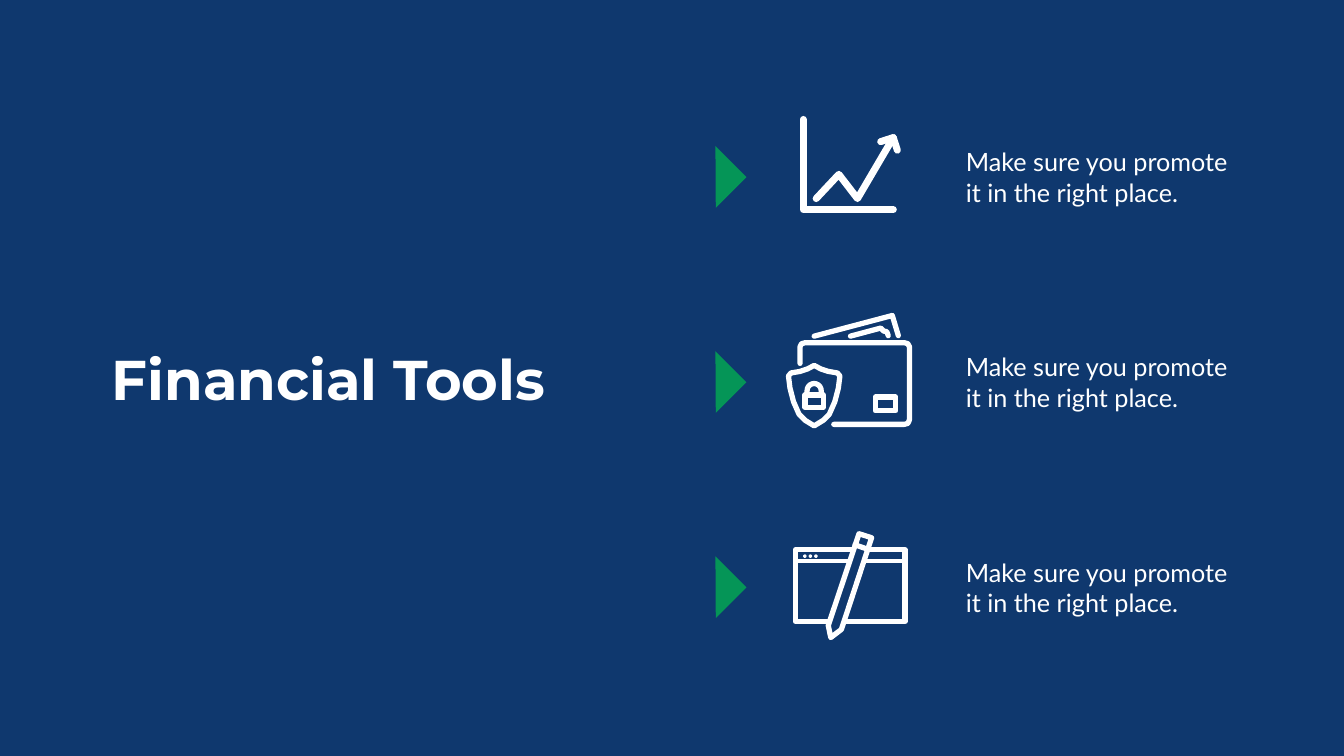
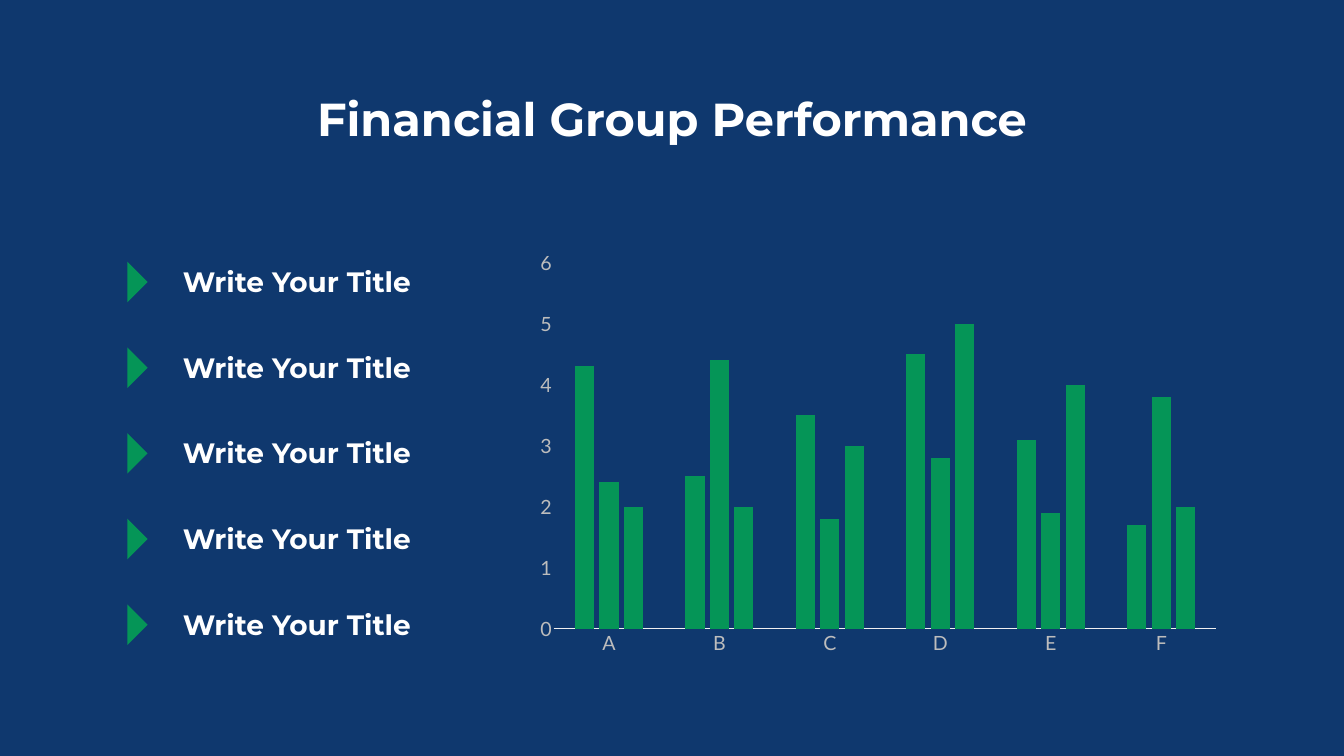
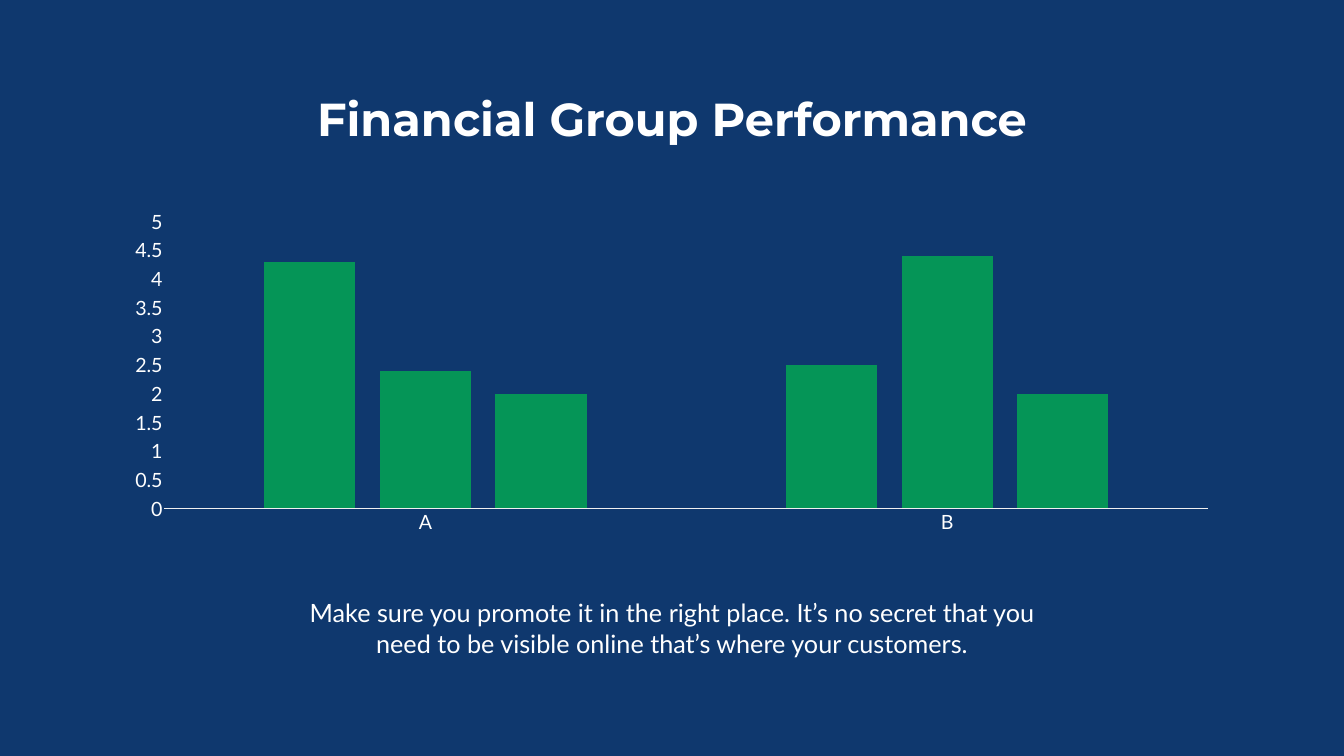
from dataclasses import dataclass
from math import cos, pi, sin

from lxml import etree
from pptx import Presentation
from pptx.chart.data import CategoryChartData
from pptx.dml.color import RGBColor
from pptx.enum.chart import XL_CHART_TYPE, XL_TICK_MARK
from pptx.enum.shapes import MSO_CONNECTOR, MSO_SHAPE
from pptx.enum.text import MSO_ANCHOR, MSO_AUTO_SIZE, PP_ALIGN
from pptx.oxml.ns import qn
from pptx.util import Inches, Pt

COLUMNS = XL_CHART_TYPE.COLUMN_CLUSTERED
NO_TICKS = XL_TICK_MARK.NONE
STRAIGHT = MSO_CONNECTOR.STRAIGHT
TRIANGLE = MSO_SHAPE.RIGHT_TRIANGLE
OVAL = MSO_SHAPE.OVAL
TOP = MSO_ANCHOR.TOP
GROW = MSO_AUTO_SIZE.SHAPE_TO_FIT_TEXT
LEFT, CENTER = PP_ALIGN.LEFT, PP_ALIGN.CENTER

NAVY = RGBColor(0x0F, 0x38, 0x6E)
GREEN = RGBColor(0x05, 0x95, 0x57)
WHITE = RGBColor(0xFF, 0xFF, 0xFF)
SILVER = RGBColor(0xBD, 0xBD, 0xBD)
AXIS_GRAY = RGBColor(0xF0, 0xF0, 0xF0)

HEADING_FONT, BODY_FONT = "Montserrat", "Lato"
TITLE_ONLY, TITLE_AND_CONTENT = 5, 1


@dataclass(frozen=True)
class Area:
    """A place on the slide, in inches."""
    left: float
    top: float
    width: float
    height: float

    def lengths(self) -> list[int]:
        return [Inches(n) for n in (self.left, self.top, self.width, self.height)]


@dataclass(frozen=True)
class TextStyle:
    font: str
    size: int
    bold: bool = False
    align: PP_ALIGN = LEFT


@dataclass(frozen=True)
class Stroke:
    """A round-ended white line through points given in inches."""
    points: list[tuple[float, float]]
    weight: float = 7.5
    closed: bool = False
    filled: bool = False


@dataclass(frozen=True)
class MarkedList:
    """Equal text lines at a fixed pitch, each with a green arrow before it."""
    text: str
    count: int
    pitch: float
    first_text: Area
    first_arrow: Area
    style: TextStyle


@dataclass(frozen=True)
class ColumnChart:
    area: Area
    categories: str
    series: list[list[float]]
    maximum: float
    step: float
    label_color: RGBColor


COVER_TITLE = TextStyle(HEADING_FONT, 80, bold=True)
SLIDE_TITLE = TextStyle(HEADING_FONT, 66, bold=True, align=CENTER)
TITLE_AREA = Area(4.87, 1.75, 16.92, 1.21)

TOOLS = MarkedList("Make sure you promote it in the right place.", 3, 4.07,
                   Area(19.06, 2.86, 5.69, 1.31), Area(13.76, 3.08, 0.87, 0.86),
                   TextStyle(BODY_FONT, 36))
GROUP_TITLES = MarkedList("Write Your Title", 5, 1.7,
                          Area(3.53, 5.2, 5.67, 0.77), Area(2.24, 5.31, 0.57, 0.57),
                          TextStyle(HEADING_FONT, 40, bold=True))

SIX_GROUPS = ColumnChart(
    Area(10.44, 4.81, 13.97, 8.34), "ABCDEF",
    [[4.3, 2.5, 3.5, 4.5, 3.1, 1.7], [2.4, 4.4, 1.8, 2.8, 1.9, 3.8], [2, 2, 3, 5, 4, 2]],
    maximum=6, step=1, label_color=SILVER)
TWO_GROUPS = ColumnChart(
    Area(2.24, 4.03, 22.17, 6.7), "AB", [[4.3, 2.5], [2.4, 4.4], [2, 2]],
    maximum=5, step=0.5, label_color=WHITE)


def rectangle(left: float, top: float, right: float, bottom: float) -> Stroke:
    return Stroke([(left, top), (right, top), (right, bottom), (left, bottom)], closed=True)


def shield() -> Stroke:
    center = 16.15
    half = [(16.15, 7.25), (16.28, 7.32), (16.43, 7.37), (16.61, 7.4), (16.66, 7.46),
            (16.63, 7.7), (16.56, 7.97), (16.45, 8.22), (16.33, 8.34), (16.15, 8.45)]
    mirrored = [(2 * center - x, y) for x, y in half[-2:0:-1]]
    return Stroke(half + mirrored, closed=True, filled=True)


def shackle() -> Stroke:
    center, top, radius, steps = 16.15, 7.75, 0.14, 10
    angles = [pi * (1 + step / steps) for step in range(steps + 1)]
    arc = [(center + radius * cos(angle), top + radius * sin(angle)) for angle in angles]
    return Stroke([(center - radius, 7.84), *arc, (center + radius, 7.84)])


GROWTH_ICON = [
    Stroke([(15.93, 2.37), (15.93, 4.16), (17.72, 4.16)], 10),
    Stroke([(16.19, 3.94), (16.64, 3.46), (17.01, 3.94), (17.72, 2.73)], 10),
    Stroke([(17.47, 2.81), (17.72, 2.73), (17.8, 2.98)], 10),
]
WALLET_ICON = [
    Stroke([(16.15, 6.67), (17.7, 6.26), (17.82, 6.66)]),
    Stroke([(16.87, 6.67), (17.47, 6.51), (17.53, 6.57), (17.59, 6.58), (17.62, 6.66)]),
    Stroke([(15.87, 7.21), (15.87, 6.88), (15.9, 6.82), (15.97, 6.8), (17.94, 6.8),
            (18.01, 6.82), (18.04, 6.88), (18.04, 8.33), (18.01, 8.4), (17.94, 8.42),
            (16.54, 8.42)]),
    rectangle(17.36, 7.88, 17.77, 8.15),
    shield(),
    rectangle(15.97, 7.84, 16.33, 8.08),
    shackle(),
]
BROWSER_ICON = [
    rectangle(15.78, 10.91, 17.95, 12.33),
    Stroke([(15.78, 11.13), (17.95, 11.13)], 4.5),
    Stroke([(17.04, 10.59), (17.29, 10.67), (16.69, 12.49), (16.48, 12.65), (16.43, 12.41)],
           closed=True, filled=True),
    Stroke([(16.96, 10.81), (17.22, 10.9)]),
]
BROWSER_DOTS = [Area(15.93 + 0.11 * index, 11, 0.07, 0.07) for index in range(3)]


def move(shape, area: Area) -> None:
    shape.left, shape.top, shape.width, shape.height = area.lengths()


def write(shape, text: str, style: TextStyle) -> None:
    frame = shape.text_frame
    frame.word_wrap = True
    frame.auto_size = GROW
    frame.vertical_anchor = TOP
    frame.text = text
    para = frame.paragraphs[0]
    para.alignment = style.align
    for span in para.runs:
        span.font.name = style.font
        span.font.size = Pt(style.size)
        span.font.bold = style.bold
        span.font.color.rgb = WHITE


def add_page(deck, layout: int, title: str, area: Area = TITLE_AREA,
             style: TextStyle = SLIDE_TITLE):
    page = deck.slides.add_slide(deck.slide_layouts[layout])
    move(page.shapes.title, area)
    write(page.shapes.title, title, style)
    return page


def add_solid(shapes, kind: MSO_SHAPE, area: Area, color: RGBColor):
    shape = shapes.add_shape(kind, *area.lengths())
    shape.shadow.inherit = False
    shape.fill.solid()
    shape.fill.fore_color.rgb = color
    shape.line.fill.background()
    return shape


def add_marked_list(page, items: MarkedList) -> None:
    for index in range(items.count):
        drop = Inches(items.pitch * index)
        box = page.shapes.add_textbox(*items.first_text.lengths())
        box.top += drop
        write(box, items.text, items.style)
        arrow = add_solid(page.shapes, TRIANGLE, items.first_arrow, GREEN)
        arrow.top += drop
        arrow.rotation = 225


def add_stroke(shapes, stroke: Stroke) -> None:
    points = [(Inches(x), Inches(y)) for x, y in stroke.points]
    if len(points) == 2:
        shape = shapes.add_connector(STRAIGHT, *points[0], *points[1])
    else:
        builder = shapes.build_freeform(*points[0])
        builder.add_line_segments(points[1:], close=stroke.closed)
        shape = builder.convert_to_shape()
        if stroke.filled:
            shape.fill.solid()
            shape.fill.fore_color.rgb = NAVY
        else:
            shape.fill.background()
    shape.line.color.rgb = WHITE
    shape.line.width = Pt(stroke.weight)
    properties = shape.element.spPr
    outline = properties.find(qn("a:ln"))
    outline.set("cap", "rnd")
    etree.SubElement(outline, qn("a:round"))
    etree.SubElement(properties, qn("a:effectLst"))


def add_icon(page, strokes: list[Stroke]):
    icon = page.shapes.add_group_shape()
    for stroke in strokes:
        add_stroke(icon.shapes, stroke)
    return icon


def add_column_chart(page, columns: ColumnChart) -> None:
    data = CategoryChartData()
    data.categories = list(columns.categories)
    for number, values in enumerate(columns.series, start=1):
        data.add_series(f"Series {number}", values)
    chart = page.shapes.add_chart(COLUMNS, *columns.area.lengths(), data).chart
    chart.has_legend = False
    chart.has_title = False
    chart.font.name = BODY_FONT
    chart.font.size = Pt(28)
    chart.font.color.rgb = columns.label_color

    plot = chart.plots[0]
    plot.gap_width = 219
    plot.overlap = -27
    plot.vary_by_categories = False
    for series in plot.series:
        series.format.fill.solid()
        series.format.fill.fore_color.rgb = GREEN

    for axis in (chart.category_axis, chart.value_axis):
        axis.major_tick_mark = axis.minor_tick_mark = NO_TICKS
        axis.has_major_gridlines = False
    category_line = chart.category_axis.format.line
    category_line.color.rgb = AXIS_GRAY
    category_line.width = Pt(0.75)
    values_axis = chart.value_axis
    values_axis.format.line.fill.background()
    values_axis.minimum_scale = 0
    values_axis.maximum_scale = columns.maximum
    values_axis.major_unit = columns.step


def add_caption(page, text: str, area: Area) -> None:
    """Fill the body placeholder with one plain centred paragraph."""
    body = page.placeholders[1]
    move(body, area)
    write(body, text, TextStyle(BODY_FONT, 36, align=CENTER))
    para = body.text_frame.paragraphs[0]
    properties = para._p.get_or_add_pPr()
    properties.set("marL", "0")
    properties.set("indent", "0")
    etree.SubElement(properties, qn("a:buNone"))
    para.space_before = Pt(0)


def build_tools(deck) -> None:
    page = add_page(deck, TITLE_ONLY, "Financial Tools", Area(2.12, 6.78, 8.91, 1.45),
                    COVER_TITLE)
    add_marked_list(page, TOOLS)
    add_icon(page, GROWTH_ICON)
    add_icon(page, WALLET_ICON)
    browser = add_icon(page, BROWSER_ICON)
    for dot in BROWSER_DOTS:
        add_solid(browser.shapes, OVAL, dot, WHITE)


def build_six_groups(deck) -> None:
    page = add_page(deck, TITLE_ONLY, "Financial Group Performance")
    add_column_chart(page, SIX_GROUPS)
    add_marked_list(page, GROUP_TITLES)


def build_two_groups(deck) -> None:
    page = add_page(deck, TITLE_AND_CONTENT, "Financial Group Performance")
    add_column_chart(page, TWO_GROUPS)
    add_caption(page, "Make sure you promote it in the right place. It’s no secret that you "
                "need to be visible online that’s where your customers.",
                Area(5.73, 11.81, 15.2, 1.31))


def main() -> None:
    deck = Presentation()
    deck.slide_width, deck.slide_height = Inches(26.66), Inches(15)
    background = deck.slide_master.background.fill
    background.solid()
    background.fore_color.rgb = NAVY
    build_tools(deck)
    build_six_groups(deck)
    build_two_groups(deck)
    deck.save("out.pptx")


if __name__ == "__main__":
    main()
